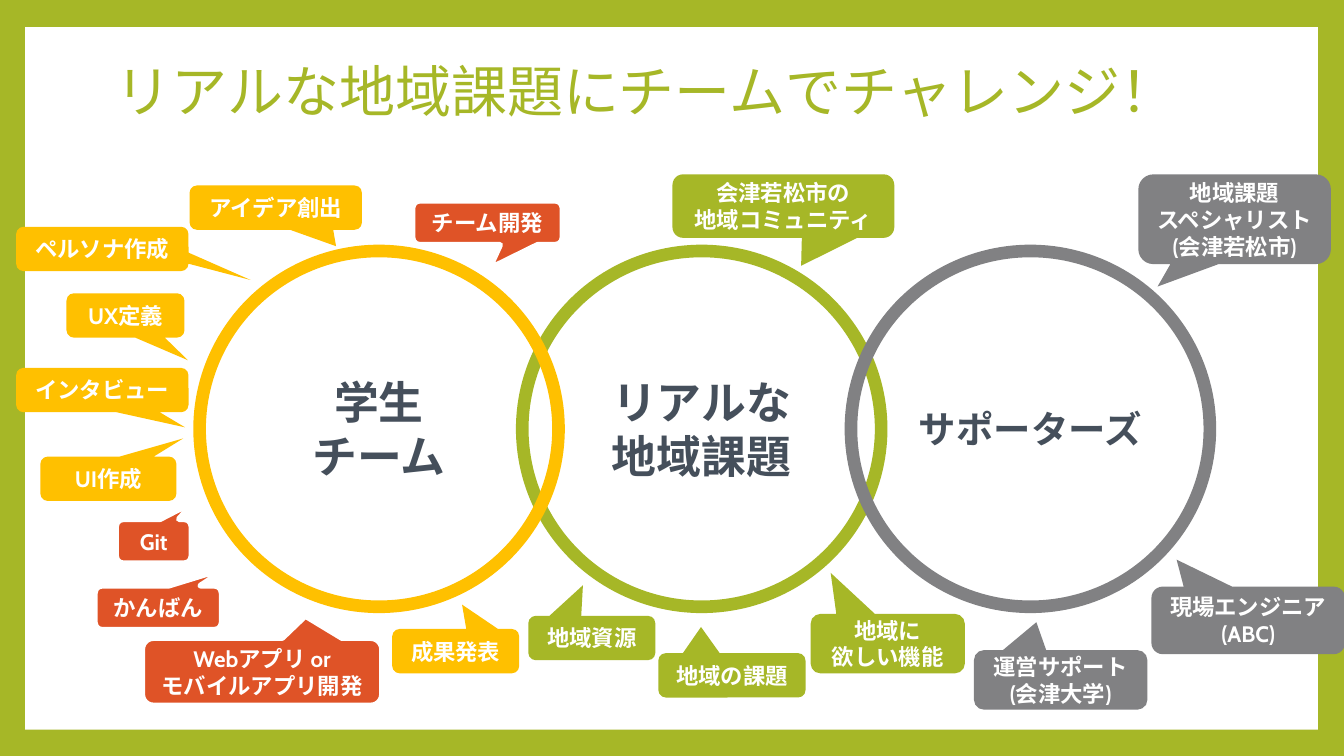
from lxml.etree import SubElement
from pptx import Presentation
from pptx.dml.color import RGBColor
from pptx.enum.shapes import MSO_SHAPE as Shape
from pptx.enum.text import MSO_ANCHOR as Anchor, PP_ALIGN as Align
from pptx.oxml.ns import qn
from pptx.util import Inches, Pt

COLORS = {"green": "A6B727", "yellow": "FFC000", "red": "DF5327",
          "gray": "818183", "ink": "454F5B", "white": "FFFFFF"}
JAPANESE, LATIN = "Noto Sans CJK JP", "Cabin"
CIRCLE_TOP, CIRCLE_WIDTH, CIRCLE_HEIGHT = 2.49, 3.56, 3.53

# Callouts: text, offset from the circle's box, size, tail tip, colour
ISSUE_CALLOUTS = [
    ("会津若松市の\n地域コミュニティ", (1.49, -0.76), (2.2, 0.63), (0.08, 0.94), "green"),
    ("地域資源", (0.06, 3.62), (1.26, 0.44), (-0.07, -1.19), "green"),
    ("地域の課題", (1.35, 3.99), (1.46, 0.44), (-0.21, -1.09), "green"),
    ("地域に\n欲しい機能", (2.86, 3.6), (1.53, 0.59), (-0.37, -1.19), "green"),
]
STUDENT_CALLOUTS = [
    ("アイデア創出", (-0.1, -0.65), (1.71, 0.44), (0.35, 0.87), "yellow"),
    ("チーム開発", (2.11, -0.5), (1.49, 0.44), (0.01, 1.04), "red"),
    ("Webアプリ or\nモバイルアプリ開発", (-0.57, 3.84), (2.38, 0.67), (0.18, -0.83), "red"),
    ("成果発表", (1.91, 3.75), (1.26, 0.44), (0.05, -1.05), "yellow"),
    ("UX定義", (-1.32, 0.42), (1.17, 0.44), (0.53, 1.01), "yellow"),
    ("UI作成", (-1.58, 2.04), (1.35, 0.44), (0.55, -0.91), "yellow"),
    ("インタビュー", (-1.82, 1.16), (1.71, 0.44), (0.48, 0.84), "yellow"),
    ("Git", (-0.83, 2.66), (0.75, 0.44), (0.55, -0.91), "red"),
    ("かんばん", (-1.04, 3.32), (1.26, 0.44), (0.55, -0.91), "red"),
    ("ペルソナ作成", (-1.82, -0.24), (1.71, 0.44), (0.86, 0.7), "yellow"),
]
SUPPORTER_CALLOUTS = [
    ("地域課題\nスペシャリスト\n(会津若松市)", (2.85, -0.76), (1.91, 0.89), (-0.4, 0.75), "gray"),
    ("現場エンジニア\n(ABC)", (2.98, 3.33), (1.92, 0.67), (-0.37, -0.9), "gray"),
    ("運営サポート\n(会津大学)", (1.22, 3.96), (1.72, 0.59), (-0.14, -0.97), "gray"),
]
# Regions: left, heading, heading size, colour, callouts
REGIONS = [
    (5.18, "リアルな\n地域課題", 32, "green", ISSUE_CALLOUTS),
    (1.98, "学生\nチーム", 32, "yellow", STUDENT_CALLOUTS),
    (8.44, "サポーターズ", 26.7, "gray", SUPPORTER_CALLOUTS),
]


def rgb(color):
    return RGBColor.from_string(COLORS[color])


def write(shape, text, size, color, latin=JAPANESE, bold=True, align=Align.CENTER):
    frame = shape.text_frame
    frame.text = text
    for paragraph in frame.paragraphs:
        paragraph.alignment = align
        for run in paragraph.runs:
            font = run.font
            for name, value in {"size": Pt(size), "bold": bold, "name": latin}.items():
                setattr(font, name, value)
            font.color.rgb = rgb(color)
            SubElement(run._r.get_or_add_rPr(), qn("a:ea"), typeface=JAPANESE)
    return frame


def add_plain(slide, kind, box, fill=None, line=None, line_width=0):
    shape = slide.shapes.add_shape(kind, *map(Inches, box))
    shape.shadow.inherit = False
    if fill:
        shape.fill.solid()
        shape.fill.fore_color.rgb = rgb(fill)
    else:
        shape.fill.background()
    if line:
        shape.line.color.rgb = rgb(line)
        shape.line.width = Pt(line_width)
    else:
        shape.line.fill.background()
    return shape


def set_frame(slide, box):
    """Green background with a white panel behind everything else."""
    slide.background.fill.solid()
    slide.background.fill.fore_color.rgb = rgb("green")
    panel = add_plain(slide, Shape.RECTANGLE, box, fill="white")
    slide.shapes._spTree.insert(2, panel._element)


def set_title(slide, box, text):
    title = slide.shapes.title
    title.left, title.top, title.width, title.height = map(Inches, box)
    frame = write(title, text, 40, "green", bold=False, align=Align.LEFT)
    frame.vertical_anchor = Anchor.BOTTOM
    frame.word_wrap = True
    frame.paragraphs[0].line_spacing = 0.9
    for side in ("left", "top", "right", "bottom"):
        setattr(frame, f"margin_{side}", Inches(0.13))


def add_callout(slide, box, text, tip, color):
    border = "white" if color == "red" else None
    callout = add_plain(slide, Shape.ROUNDED_RECTANGULAR_CALLOUT, box, color, border, 4.25)
    callout.adjustments[0], callout.adjustments[1] = tip
    frame = write(callout, text, 16, "white", LATIN)
    frame.vertical_anchor = Anchor.MIDDLE
    frame.word_wrap = False


def add_region(slide, box, heading, size, color, callouts):
    """A ring with its heading, and the callouts around it."""
    left, top = box[:2]
    ring = add_plain(slide, Shape.OVAL, box, line=color, line_width=9)
    write(ring, heading, size, "ink").vertical_anchor = Anchor.MIDDLE
    for text, (dx, dy), extent, tip, callout_color in callouts:
        add_callout(slide, (left + dx, top + dy, *extent), text, tip, callout_color)


def main():
    deck = Presentation()
    deck.slide_width, deck.slide_height = Inches(13.33), Inches(7.5)
    slide = deck.slides.add_slide(deck.slide_layouts[5])
    set_frame(slide, (0.25, 0.27, 12.82, 6.97))
    set_title(slide, (1.02, 0.65, 11.32, 0.72), "リアルな地域課題にチームでチャレンジ！")
    for left, *content in REGIONS:
        add_region(slide, (left, CIRCLE_TOP, CIRCLE_WIDTH, CIRCLE_HEIGHT), *content)
    deck.save("out.pptx")


if __name__ == "__main__":
    main()
